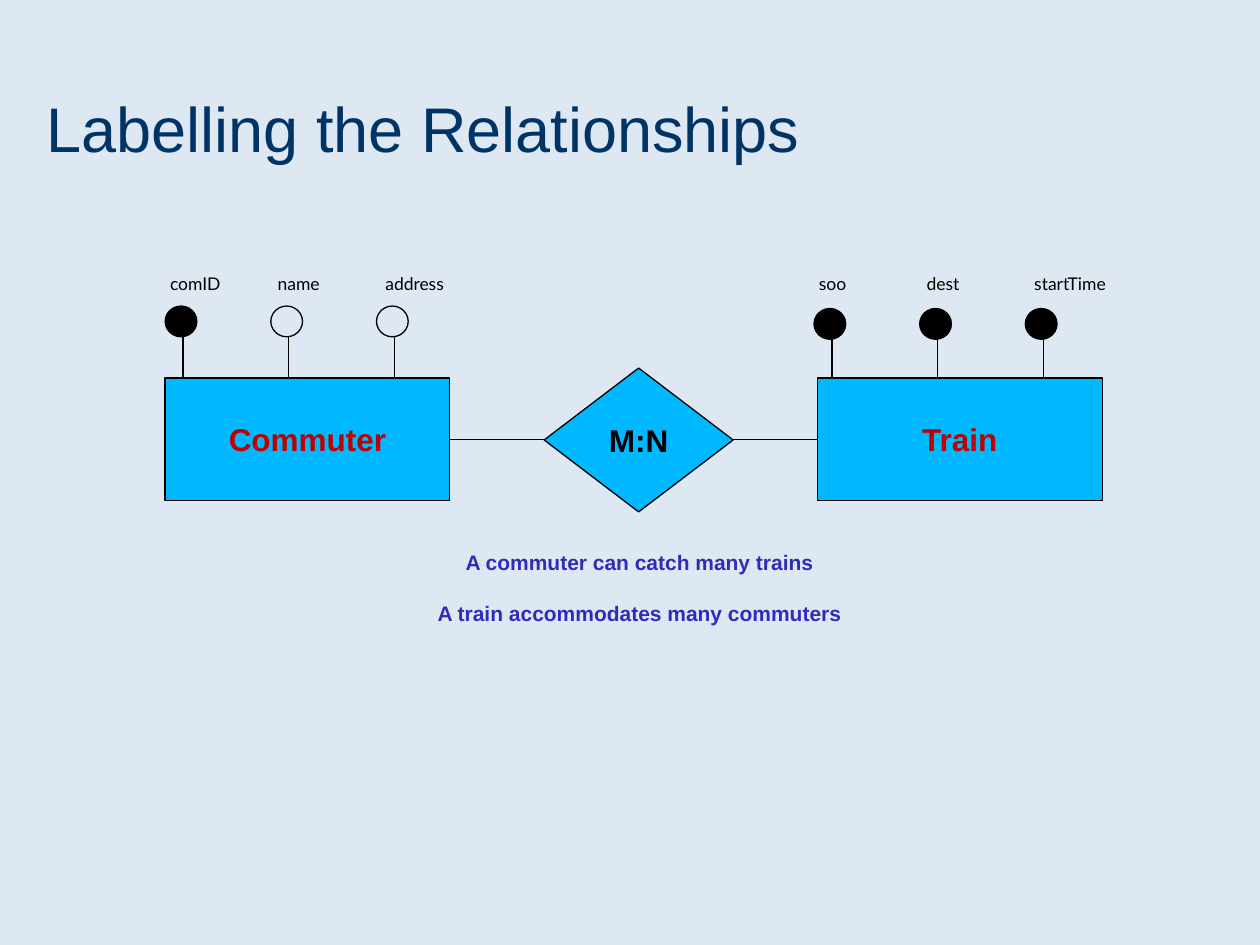
"""Build the slide that labels the relationship between Commuter and Train."""
from lxml import etree
from pptx import Presentation, util as u
from pptx.dml.color import RGBColor
from pptx.enum import shapes, text
from pptx.oxml.ns import qn


def paint(fill, colour):
    fill.solid()
    fill.fore_color.rgb = RGBColor.from_string(colour)


def write(frame, lines, size=18, colour="000000", font="Arial", bold=False,
          align=text.PP_ALIGN.LEFT, anchor=text.MSO_ANCHOR.TOP, gap=0):
    frame.word_wrap = True
    frame.auto_size = text.MSO_AUTO_SIZE.NONE
    frame.vertical_anchor = anchor
    for index, line in enumerate(lines.split("\n")):
        paragraph = frame.add_paragraph() if index else frame.paragraphs[0]
        paragraph.alignment = align
        paragraph.space_before = u.Pt(gap if index else 0)
        run = paragraph.add_run()
        run.text = line
        run.font.size, run.font.name, run.font.bold = u.Pt(size), font, bold
        paint(run.font.fill, colour)


presentation = Presentation()
presentation.slide_width, presentation.slide_height = u.Cm(25.4), u.Cm(19.05)
slide = presentation.slides.add_slide(presentation.slide_layouts[5])
paint(slide.background.fill, "DEE8F3")

title = slide.shapes.title
title.left, title.top, title.width, title.height = map(u.Cm, (0.69, 0.71, 21.62, 2.77))
write(title.text_frame, "Labelling the Relationships", size=36, colour="003366",
      anchor=text.MSO_ANCHOR.BOTTOM)
title.text_frame.paragraphs[0].line_spacing = 0.9

BLUE, BLACK, RED = "00B8FF", "000000", "C00000"
RECTANGLE = shapes.MSO_SHAPE.RECTANGLE
DIAMOND = shapes.MSO_SHAPE.DIAMOND
CIRCLE = shapes.MSO_SHAPE.OVAL
PITCH = 2.13
ENTITY_TOP = 7.62
LINK_Y = 8.86

symbols = [
    (RECTANGLE, 3.33, ENTITY_TOP, 5.74, 2.47, BLUE, "Commuter", RED),
    (RECTANGLE, 16.48, ENTITY_TOP, 5.74, 2.47, BLUE, "Train", RED),
    (DIAMOND, 10.97, 7.42, 3.81, 2.9, BLUE, "M:N", BLACK),
]
links = [(9.07, LINK_Y, 10.97, LINK_Y), (14.78, LINK_Y, 16.48, LINK_Y)]
attributes = [
    (3.33, 6.17, [("comID", 2.08, BLACK), ("name", 1.98, None), ("address", 2.39, None)]),
    (16.41, 6.22, [("soo", 1.5, BLACK), ("dest", 1.68, BLACK), ("startTime", 2.9, BLACK)]),
]

for first_left, top, entries in attributes:
    for index, (name, width, fill) in enumerate(entries):
        left = first_left + index * PITCH
        symbols.append((CIRCLE, left, top, 0.64, 0.62, fill, "", BLACK))
        links.append((left + 0.36, ENTITY_TOP, left + 0.36, top + 0.62))
        label_left = first_left - 0.15 + index * 2.17
        label = slide.shapes.add_textbox(u.Cm(label_left), u.Cm(5.37), u.Cm(width), u.Cm(1.05))
        write(label.text_frame, name, size=10, font="Lato")

for kind, left, top, width, height, fill, caption, colour in symbols:
    shape = slide.shapes.add_shape(kind, *map(u.Cm, (left, top, width, height)))
    shape.shadow.inherit = False
    if fill:
        paint(shape.fill, fill)
    else:
        shape.fill.background()
    paint(shape.line.fill, BLACK)
    shape.line.width = u.Pt(0.75)
    if caption:
        write(shape.text_frame, caption, colour=colour, bold=True,
              align=text.PP_ALIGN.CENTER, anchor=text.MSO_ANCHOR.MIDDLE)

for ends in links:
    connector = slide.shapes.add_connector(shapes.MSO_CONNECTOR.STRAIGHT, *map(u.Cm, ends))
    paint(connector.line.fill, BLACK)
    connector.line.width = u.Pt(0.75)
    etree.SubElement(connector.line._get_or_add_ln().getparent(), qn("a:effectLst"))

explanation = slide.shapes.add_textbox(u.Cm(8.13), u.Cm(10.95), u.Cm(9.53), u.Cm(1.78))
write(explanation.text_frame,
      "A commuter can catch many trains\nA train accommodates many commuters",
      size=12, colour="2D2DB9", bold=True, align=text.PP_ALIGN.CENTER, gap=15)

presentation.save("out.pptx")
